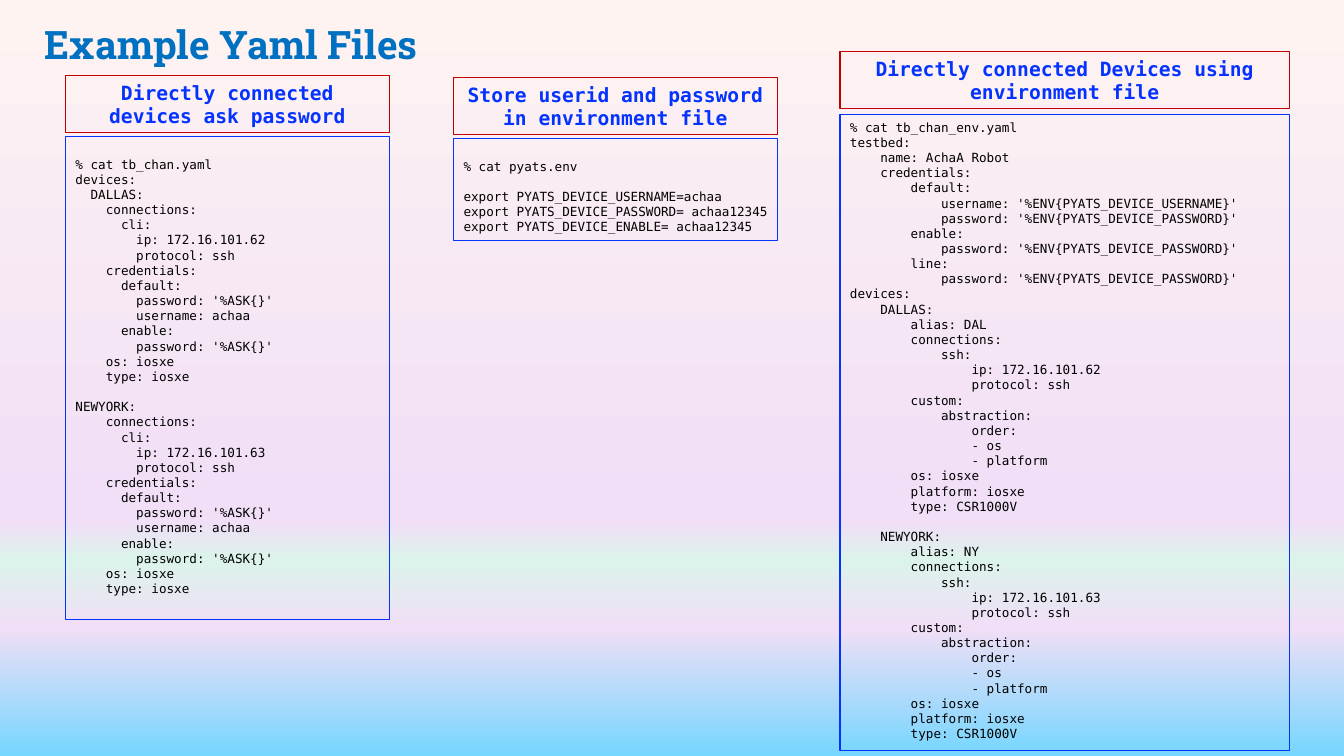
from lxml import etree
from pptx import Presentation
from pptx.dml.color import RGBColor
from pptx.enum import shapes, text
from pptx.oxml import ns
from pptx.util import Pt

COLORS = {"blue": "0432FF", "red": "C00000", "title": "0070C0", "code": "000000"}
BACKGROUND = [(0, "FFF3F2"), (69, "F0DFF6"), (74, "DCF3EC"), (83, "F0DFF6"), (100, "76D6FF")]
MONO = "DejaVu Sans Mono"
HEADING_HEIGHT = 41

ASK_PASSWORD = """% cat tb_chan.yaml
devices:
  DALLAS:
    connections:
      cli:
        ip: 172.16.101.62
        protocol: ssh
    credentials:
      default:
        password: '%ASK{}'
        username: achaa
      enable:
        password: '%ASK{}'
    os: iosxe
    type: iosxe

NEWYORK:
    connections:
      cli:
        ip: 172.16.101.63
        protocol: ssh
    credentials:
      default:
        password: '%ASK{}'
        username: achaa
      enable:
        password: '%ASK{}'
    os: iosxe
    type: iosxe"""

ENVIRONMENT = """% cat pyats.env

export PYATS_DEVICE_USERNAME=achaa
export PYATS_DEVICE_PASSWORD= achaa12345
export PYATS_DEVICE_ENABLE= achaa12345"""

TESTBED = """% cat tb_chan_env.yaml
testbed:
    name: AchaA Robot
    credentials:
        default:
            username: '%ENV{PYATS_DEVICE_USERNAME}'
            password: '%ENV{PYATS_DEVICE_PASSWORD}'
        enable:
            password: '%ENV{PYATS_DEVICE_PASSWORD}'
        line:
            password: '%ENV{PYATS_DEVICE_PASSWORD}'
devices:
"""

# The two devices of the testbed differ only in these three values
DEVICE = """    {name}:
        alias: {alias}
        connections:
            ssh:
                ip: {ip}
                protocol: ssh
        custom:
            abstraction:
                order:
                - os
                - platform
        os: iosxe
        platform: iosxe
        type: CSR1000V"""
TESTBED += "\n\n".join(
    DEVICE.format(name=name, alias=alias, ip=ip)
    for name, alias, ip in [("DALLAS", "DAL", "172.16.101.62"), ("NEWYORK", "NY", "172.16.101.63")]
)


def style(font, name, size, color, bold=False):
    font.name, font.size, font.bold = name, Pt(size), bold
    font.color.rgb = RGBColor.from_string(COLORS[color])


def paint_background(slide):
    fill = slide.background.fill
    fill.gradient()
    fill.gradient_angle = 270
    stops = slide.background._cSld.find(".//" + ns.qn("a:gsLst"))
    for stop in list(stops):
        stops.remove(stop)
    for position, color in BACKGROUND:
        stop = etree.SubElement(stops, ns.qn("a:gs"), pos=str(position * 1000))
        etree.SubElement(stop, ns.qn("a:srgbClr"), val=color)


def add_title(slide, left, top, width, height):
    frame = slide.shapes.add_textbox(Pt(left), Pt(top), Pt(width), Pt(height)).text_frame
    frame.word_wrap = True
    frame.text = "Example Yaml Files"
    style(frame.paragraphs[0].font, "Roboto Slab", 28, "title", bold=True)


def add_frame(slide, left, top, width, height, line):
    shape = slide.shapes.add_shape(
        shapes.MSO_SHAPE.RECTANGLE, Pt(left), Pt(top), Pt(width), Pt(height))
    shape.shadow.inherit = False
    shape.fill.background()
    shape.line.color.rgb = RGBColor.from_string(COLORS[line])
    shape.line.width = Pt(0.75)
    shape.text_frame.word_wrap = True
    return shape.text_frame


def add_file_panel(slide, left, top, width, height, heading, code, gap, inset):
    # Heading
    frame = add_frame(slide, left, top, width, HEADING_HEIGHT, "red")
    frame.text = heading
    frame.paragraphs[0].alignment = text.PP_ALIGN.CENTER
    style(frame.paragraphs[0].font, MONO, 14, "blue", bold=True)

    # File contents
    offset = HEADING_HEIGHT + gap
    frame = add_frame(slide, left, top + offset, width, height - offset, "blue")
    frame.vertical_anchor = text.MSO_ANCHOR.TOP
    frame.margin_top, frame.margin_right = Pt(inset), Pt(3)
    frame.text = code
    for paragraph in frame.paragraphs:
        paragraph.alignment = text.PP_ALIGN.LEFT
        style(paragraph.font, MONO, 9, "code")


def main():
    presentation = Presentation()
    presentation.slide_width, presentation.slide_height = Pt(960), Pt(540)
    slide = presentation.slides.add_slide(presentation.slide_layouts[6])
    paint_background(slide)
    add_title(slide, 25, 10.8, 480, 41)
    add_file_panel(slide, 46.8, 54, 231.4, 388.8,
                   "Directly connected devices ask password", ASK_PASSWORD, 2.4, 14.4)
    add_file_panel(slide, 324, 55.4, 231.4, 116.5,
                   "Store userid and password in environment file", ENVIRONMENT, 2.6, 14.4)
    add_file_panel(slide, 600, 36.7, 321.2, 499.5,
                   "Directly connected Devices using environment file", TESTBED, 4.2, 3.6)
    presentation.save("out.pptx")


if __name__ == "__main__":
    main()
